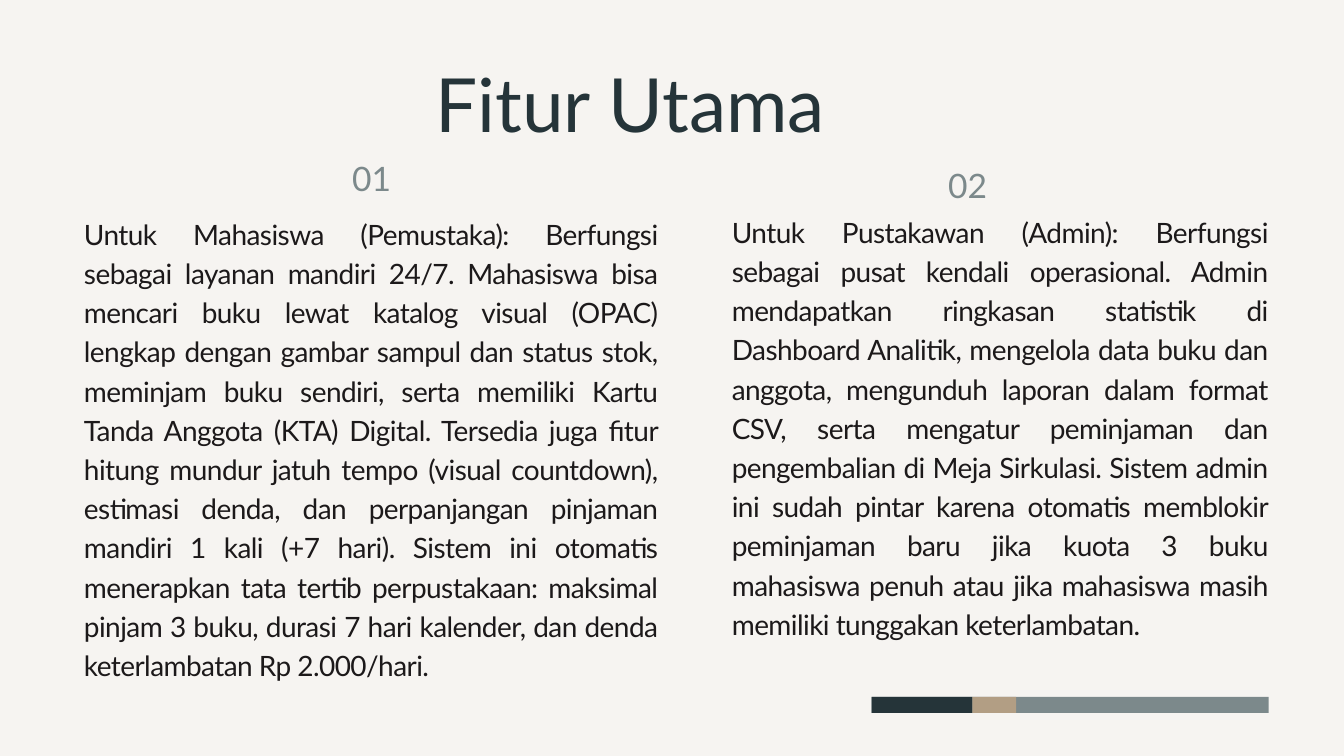
"""Build the "Fitur Utama" slide: two numbered feature columns and a colour bar."""
from dataclasses import dataclass

import pptx
import pptx.dml.color
import pptx.enum.shapes
import pptx.enum.text
import pptx.util
from pptx.util import Inches


@dataclass(frozen=True)
class Theme:
    font: str = "Lato"
    background: str = "F6F4F1"
    dark: str = "253439"
    grey: str = "7C898B"
    tan: str = "B29E84"
    ink: str = "1C191A"
    title_size: int = 80
    number_size: int = 36
    body_size: int = 30
    body_leading: int = 42
    body_tracking: float = -0.6


def write_text(shape, box, text, size, color, alignment, leading, tracking=0):
    shape.left, shape.top, shape.width, shape.height = map(Inches, box)
    frame = shape.text_frame
    frame.margin_left = frame.margin_top = frame.margin_right = frame.margin_bottom = 0
    frame.word_wrap = True
    frame.auto_size = pptx.enum.text.MSO_AUTO_SIZE.NONE
    frame.vertical_anchor = pptx.enum.text.MSO_ANCHOR.TOP
    paragraph = frame.paragraphs[0]
    paragraph.alignment = alignment
    paragraph.line_spacing = pptx.util.Pt(leading)
    paragraph.space_before = pptx.util.Pt(0)
    run = paragraph.add_run()
    run.text = text
    run.font.name = theme.font
    run.font.size = pptx.util.Pt(size)
    run.font.color.rgb = pptx.dml.color.RGBColor.from_string(color)
    if tracking:
        run._r.get_or_add_rPr().set("spc", str(round(tracking * 100)))


theme = Theme()
align = pptx.enum.text.PP_ALIGN

presentation = pptx.Presentation()
presentation.slide_width = Inches(20)
presentation.slide_height = Inches(11.25)
slide = presentation.slides.add_slide(presentation.slide_layouts[5])
slide.background.fill.solid()
slide.background.fill.fore_color.rgb = pptx.dml.color.RGBColor.from_string(theme.background)

write_text(slide.shapes.title, (6.48, 1.08, 6.63, 1.17), "Fitur Utama",
           theme.title_size, theme.dark, align.JUSTIFY, theme.title_size)

features = [
    ("01", (4.24, 2.45, 1.58, 0.54), (1.25, 3.15, 8.54, 6.98),
     "Untuk Mahasiswa (Pemustaka): Berfungsi sebagai layanan mandiri 24/7. "
     "Mahasiswa bisa mencari buku lewat katalog visual (OPAC) lengkap dengan "
     "gambar sampul dan status stok, meminjam buku sendiri, serta memiliki Kartu "
     "Tanda Anggota (KTA) Digital. Tersedia juga fitur hitung mundur jatuh tempo "
     "(visual countdown), estimasi denda, dan perpanjangan pinjaman mandiri 1 kali "
     "(+7 hari). Sistem ini otomatis menerapkan tata tertib perpustakaan: maksimal "
     "pinjam 3 buku, durasi 7 hari kalender, dan denda keterlambatan Rp 2.000/hari."),
    ("02", (13.11, 2.55, 1.58, 0.54), (10.89, 3.12, 7.98, 6.41),
     "Untuk Pustakawan (Admin): Berfungsi sebagai pusat kendali operasional. Admin "
     "mendapatkan ringkasan statistik di Dashboard Analitik, mengelola data buku dan "
     "anggota, mengunduh laporan dalam format CSV, serta mengatur peminjaman dan "
     "pengembalian di Meja Sirkulasi. Sistem admin ini sudah pintar karena otomatis "
     "memblokir peminjaman baru jika kuota 3 buku mahasiswa penuh atau jika mahasiswa "
     "masih memiliki tunggakan keterlambatan."),
]
for number, number_box, body_box, body in features:
    shape = slide.shapes.add_textbox(0, 0, 0, 0)
    write_text(shape, number_box, number, theme.number_size, theme.grey,
               align.RIGHT, theme.number_size)
    shape = slide.shapes.add_textbox(0, 0, 0, 0)
    write_text(shape, body_box, body, theme.body_size, theme.ink,
               align.JUSTIFY, theme.body_leading, theme.body_tracking)

bar_left = 12.97
for width, color in [(5.91, theme.grey), (1.5, theme.dark), (0.65, theme.tan)]:
    left = bar_left + 1.5 if color == theme.tan else bar_left
    shape = slide.shapes.add_shape(pptx.enum.shapes.MSO_SHAPE.RECTANGLE, Inches(left),
                                   Inches(10.37), Inches(width), Inches(0.24))
    shape.shadow.inherit = False
    shape.fill.solid()
    shape.fill.fore_color.rgb = pptx.dml.color.RGBColor.from_string(color)
    shape.line.fill.background()

presentation.save("out.pptx")
